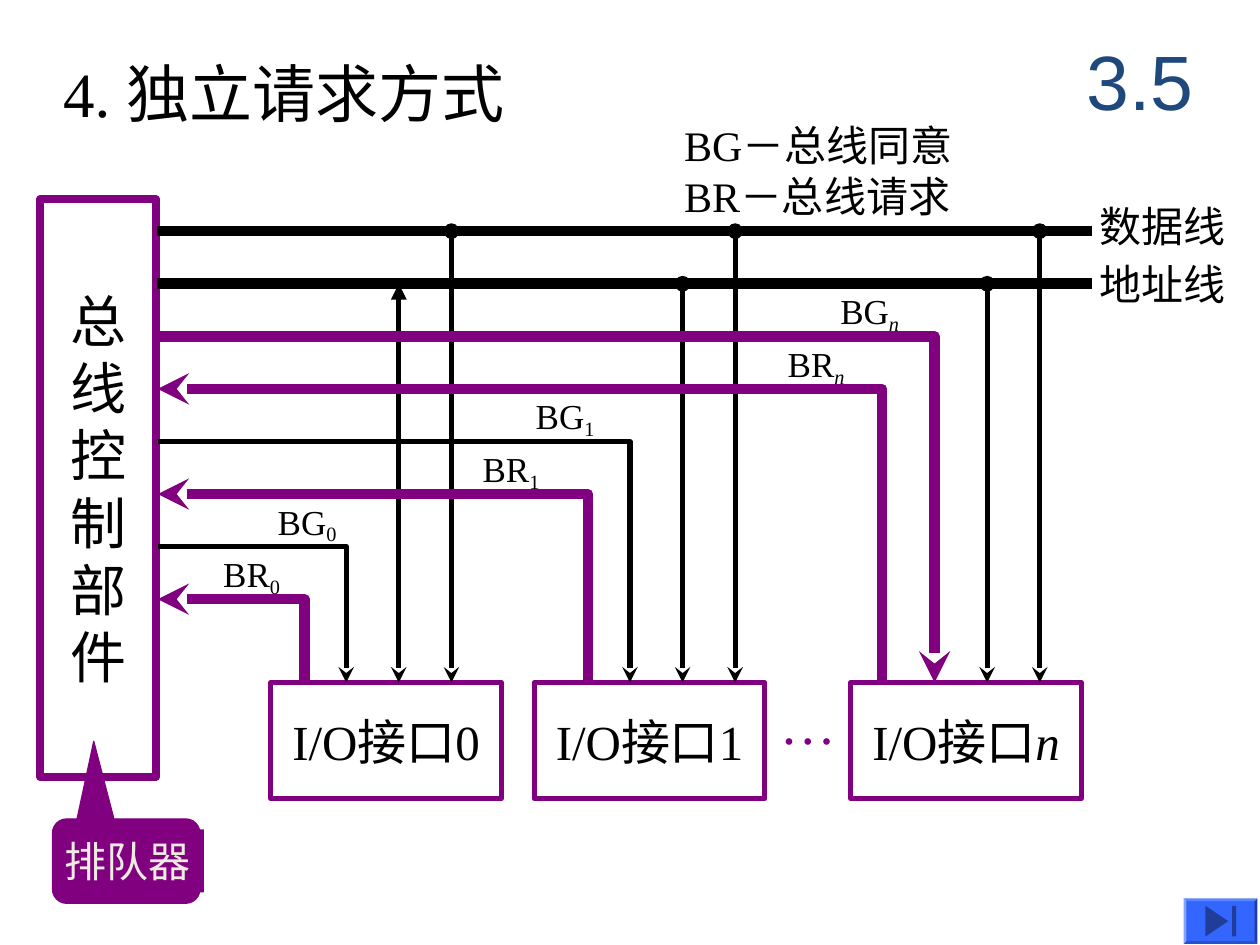
from lxml.etree import SubElement
from pptx import Presentation
from pptx.dml.color import RGBColor
from pptx.enum.lang import MSO_LANGUAGE_ID as LANG
from pptx.enum.shapes import MSO_CONNECTOR, MSO_SHAPE
from pptx.enum.text import MSO_ANCHOR, PP_ALIGN
from pptx.oxml.ns import qn
from pptx.util import Cm, Pt

COLORS = {"ink": "000000", "purple": "800080", "cream": "EEECE1",
          "navy": "1F497D", "button": "3366FF", "icon": "1F3D99"}
SERIF = "Times New Roman"

TITLE = "4. 独立请求方式"
SECTION = "3.5"
LEGEND = "BG－总线同意\nBR－总线请求"
CONTROLLER = "\n".join("总线控制部件")
QUEUE = "排队器"
BUSES = [("数据线", 3.91), ("地址线", 5.08)]
INTERFACES = [
    dict(index="0", left=5.46, data=9.1, br=6.14, br_row=7, bg_row=6,
         br_label=4.5, bg_label=5.6, bg_style=("ink", 3), addr_head="triangle"),
    dict(index="1", left=10.77, data=14.82, br=11.85, br_row=5, bg_row=4,
         br_label=9.73, bg_label=10.8, bg_style=("ink", 3), addr_head="oval"),
    dict(index="n", left=17.15, data=20.96, br=17.78, br_row=3, bg_row=2,
         br_label=15.88, bg_label=16.94, bg_style=("purple", 6), addr_head="oval"),
]
STEP, BUS_TOP, BUS_LEFT, BUS_RIGHT, BOX_TOP = 1.06, 4.66, 3.16, 22.02, 13.76

prs = Presentation()
prs.slide_width, prs.slide_height = Cm(25.4), Cm(19.05)
s = prs.slides.add_slide(prs.slide_layouts[5])


def rgb(name):
    return RGBColor.from_string(COLORS[name])


def row_y(row):
    return BUS_TOP + row * STEP


def write(sp, text, size, color="ink", font=SERIF, align=PP_ALIGN.LEFT,
          anchor=MSO_ANCHOR.TOP, wrap=False, inset=True, suffix="", sub=False):
    tf = sp.text_frame
    tf.word_wrap, tf.vertical_anchor = wrap, anchor
    if not inset:
        tf.margin_left = tf.margin_right = tf.margin_top = tf.margin_bottom = 0
    for i, line in enumerate(text.split("\n")):
        p = tf.add_paragraph() if i else tf.paragraphs[0]
        p.alignment = align
        for part in filter(None, (line, suffix)):
            r = p.add_run()
            r.text = part
            r.font.size, r.font.name = Pt(size), font
            r.font.color.rgb = rgb(color)
            r.font.language_id = LANG.SIMPLIFIED_CHINESE
            if part == suffix:
                r.font.italic = suffix == "n"
                if sub:
                    r.font._element.set("baseline", "-20000")


def text_box(text, x, y, w, h, size, **fmt):
    sp = s.shapes.add_textbox(Cm(x), Cm(y), Cm(w), Cm(h))
    write(sp, text, size, **fmt)


def paint(sp, fill=None, line=None, width=1):
    sp.shadow.inherit = False
    if fill:
        sp.fill.solid()
        sp.fill.fore_color.rgb = rgb(fill)
    else:
        sp.fill.background()
    if line:
        sp.line.color.rgb = rgb(line)
        sp.line.width = Pt(width)
    else:
        sp.line.fill.background()
    return sp


def shape(kind, x, y, w, h, **style):
    return paint(s.shapes.add_shape(kind, Cm(x), Cm(y), Cm(w), Cm(h)), **style)


def path_shape(points, close=False, **style):
    pts = [(Cm(x), Cm(y)) for x, y in points]
    fb = s.shapes.build_freeform(*pts[0])
    fb.add_line_segments(pts[1:], close=close)
    return paint(fb.convert_to_shape(), **style)


def arrowheads(sp, head=None, tail=None):
    ln = sp.line._get_or_add_ln()
    for tag, kind in (("a:headEnd", head), ("a:tailEnd", tail)):
        if kind:
            SubElement(ln, qn(tag), type=kind)


def connector(x1, y1, x2, y2, width, **heads):
    c = s.shapes.add_connector(MSO_CONNECTOR.STRAIGHT, Cm(x1), Cm(y1), Cm(x2), Cm(y2))
    c.line.color.rgb, c.line.width = rgb("ink"), Pt(width)
    SubElement(c._element.spPr, qn("a:effectLst"))
    arrowheads(c, **heads)


def signal(x, row, color, width, **heads):
    y = row_y(row)
    sp = path_shape([(BUS_LEFT + 0.02, y), (x, y), (x, BOX_TOP)], line=color, width=width)
    arrowheads(sp, **heads)


def build():
    """Draw the independent-request bus arbitration diagram."""
    title = s.shapes.title
    title.left, title.top, title.width, title.height = Cm(1.02), Cm(0.97), Cm(11.68), Cm(1.78)
    write(title, TITLE, 36, wrap=True)
    text_box(SECTION, 21.39, 0.43, 3.18, 2.34, 44, color="navy", font="Arial",
             align=PP_ALIGN.CENTER, anchor=MSO_ANCHOR.MIDDLE, wrap=True)
    text_box(LEGEND, 13.54, 2.29, 6.55, 2.3, 24, wrap=True)

    centred = dict(align=PP_ALIGN.CENTER, anchor=MSO_ANCHOR.MIDDLE)
    controller = shape(MSO_SHAPE.RECTANGLE, 0.81, 4.02, 2.34, 11.64, line="purple", width=4.5)
    write(controller, CONTROLLER, 32, **centred)
    for row, (name, top) in enumerate(BUSES):
        connector(BUS_LEFT, row_y(row), BUS_RIGHT, row_y(row), 6)
        text_box(name, 21.92, top, 3.05, 1.27, 24)

    for it in INTERFACES:
        box = shape(MSO_SHAPE.RECTANGLE, it["left"], BOX_TOP, 4.65, 2.34, line="purple", width=3)
        write(box, "I/O接口", 28, suffix=it["index"], **centred)
        for key in ("br", "bg"):
            text_box(key.upper(), it[key + "_label"], row_y(it[key + "_row"]) - 0.94, 2.34, 0.94,
                     20, wrap=True, inset=False, suffix=it["index"], sub=True)
        x = it["data"]
        connector(x, row_y(0), x, BOX_TOP, 3, head="oval", tail="stealth")
        connector(x - STEP, row_y(1), x - STEP, BOX_TOP, 3, head=it["addr_head"], tail="stealth")
        signal(it["br"], it["br_row"], "purple", 6, head="stealth")
        signal(x - 2 * STEP, it["bg_row"], *it["bg_style"], tail="stealth")
    text_box("…", 15.47, 13.76, 1.63, 1.63, 32, color="purple")

    callout = shape(MSO_SHAPE.ROUNDED_RECTANGULAR_CALLOUT, 1.06, 16.51, 2.97, 1.7,
                    fill="purple", line="purple", width=0.75)
    callout.adjustments[0], callout.adjustments[1] = -0.22, -1.42
    label = shape(MSO_SHAPE.RECTANGLE, 1.06, 16.72, 3.05, 1.27, fill="purple")
    write(label, QUEUE, 24, color="cream")

    button = shape(MSO_SHAPE.BEVEL, 23.86, 18.11, 1.49, 0.92, fill="button")
    button.adjustments[0] = 0.06
    path_shape([(24.3, 18.26), (24.76, 18.57), (24.3, 18.88)], close=True, fill="icon")
    shape(MSO_SHAPE.RECTANGLE, 24.84, 18.26, 0.08, 0.62, fill="icon")


build()
prs.save("out.pptx")
